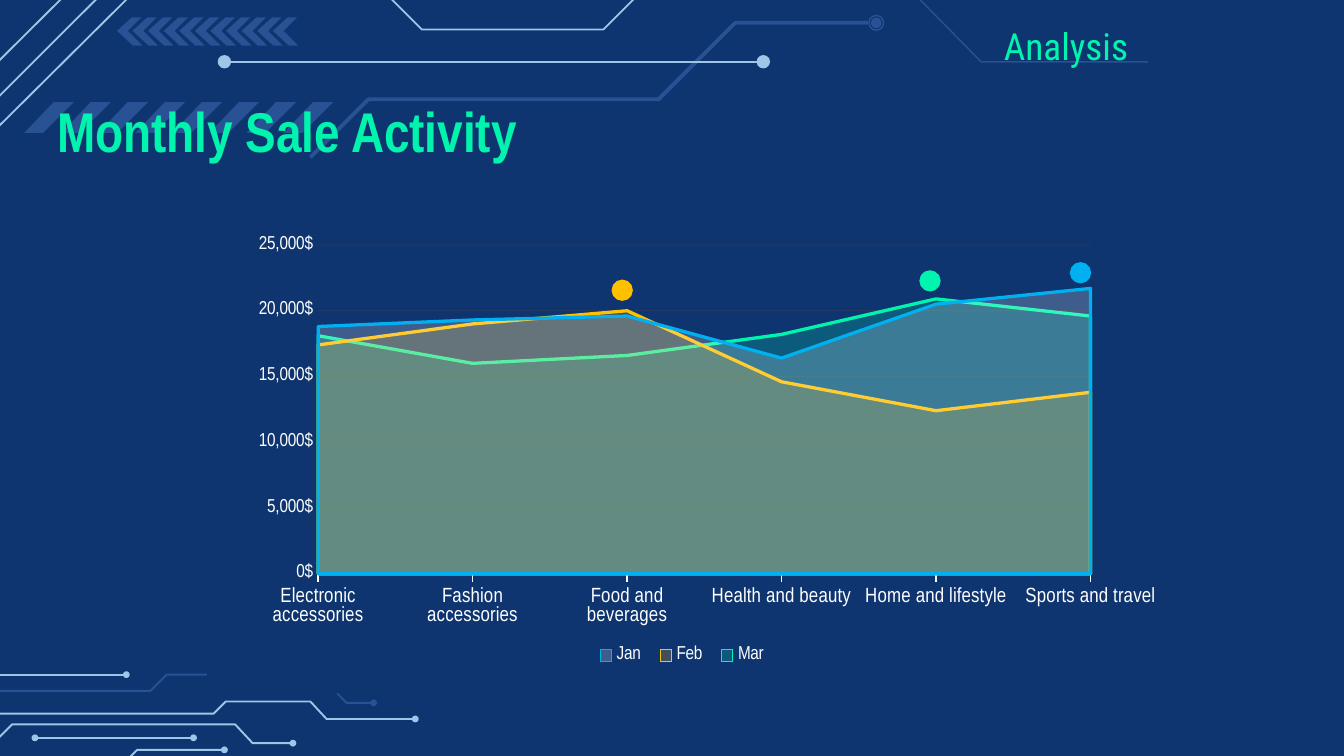
from pptx import Presentation
from pptx import util as u
from pptx.chart.data import CategoryChartData
from pptx.dml.color import RGBColor
from pptx.enum import chart as charts, shapes, text
from pptx.oxml import parse_xml
from pptx.oxml.ns import nsdecls, qn
from pptx.oxml.xmlchemy import OxmlElement

NAVY = RGBColor(0x0F, 0x35, 0x70)
STEEL = RGBColor(0x28, 0x52, 0x93)
SKY = RGBColor(0x9F, 0xC5, 0xE8)
GREEN = RGBColor(0x00, 0xF4, 0xAD)
BLUE = RGBColor(0x00, 0xB0, 0xF0)
AMBER = RGBColor(0xFF, 0xC0, 0x00)
WHITE = RGBColor(0xFF, 0xFF, 0xFF)
GRID = RGBColor(0x3A, 0x3D, 0x4E)
BODY_FONT = "Arial Narrow"

CATEGORIES = ["Electronic accessories", "Fashion accessories", "Food and beverages",
              "Health and beauty", "Home and lifestyle", "Sports and travel"]
SALES = [
    ("Jan", (18800, 19300, 19600, 16400, 20500, 21700), WHITE, BLUE),
    ("Feb", (17400, 19000, 20000, 14600, 12400, 13800), AMBER, AMBER),
    ("Mar", (18100, 16000, 16600, 18200, 20900, 19600), GREEN, GREEN),
]


def add_text(slide, content, box, *, size, font=BODY_FONT, color=GREEN, bold=False,
             align=None, anchor=text.MSO_ANCHOR.TOP, insets=None, grow=False):
    """Add a one-paragraph text box."""
    frame = slide.shapes.add_textbox(*map(u.Inches, box)).text_frame
    frame.word_wrap = True
    frame.vertical_anchor = anchor
    if grow:
        frame.auto_size = text.MSO_AUTO_SIZE.SHAPE_TO_FIT_TEXT
    if insets is not None:
        frame.margin_left = frame.margin_right = u.Inches(insets)
        frame.margin_top = frame.margin_bottom = u.Inches(insets)
    paragraph = frame.paragraphs[0]
    paragraph.alignment = align
    run = paragraph.add_run()
    run.text = content
    set_font(run.font, size, color, font)
    run.font.bold = bold


def set_font(font, size, color, name=BODY_FONT):
    """Set the size, colour and name of a font."""
    font.size = u.Pt(size)
    font.name = name
    font.color.rgb = color


def set_opacity(fill_parent, percent):
    """Make the first solid colour under an element partly transparent."""
    alpha = OxmlElement("a:alpha")
    alpha.set("val", str(percent * 1000))
    fill_parent.find(".//" + qn("a:srgbClr")).append(alpha)


def add_outline(slide, points, left, top, closed):
    """Add a freeform through points given relative to left and top."""
    corners = [(u.Inches(left + x), u.Inches(top + y)) for x, y in points]
    builder = slide.shapes.build_freeform(*corners[0], scale=1.0)
    builder.add_line_segments(corners[1:], close=closed)
    shape = builder.convert_to_shape()
    shape.shadow.inherit = False
    return shape


def add_polygon(slide, points, left, top, color):
    """Add a filled polygon without a line."""
    shape = add_outline(slide, points, left, top, True)
    shape.fill.solid()
    shape.fill.fore_color.rgb = color
    shape.line.fill.background()


def add_trace(slide, points, left, top, color, width):
    """Add a circuit line, as a connector when it has only two points."""
    if len(points) == 2:
        ends = [u.Inches(value) for x, y in points for value in (left + x, top + y)]
        shape = slide.shapes.add_connector(shapes.MSO_CONNECTOR.STRAIGHT, *ends)
        shape._element.spPr.append(OxmlElement("a:effectLst"))
    else:
        shape = add_outline(slide, points, left, top, False)
        shape.fill.background()
    shape.line.color.rgb = color
    shape.line.width = u.Pt(width)


def add_dot(slide, x, y, diameter, color, line_width=0, filled=True):
    """Add a circle centred on a point."""
    shape = slide.shapes.add_shape(
        shapes.MSO_SHAPE.OVAL, u.Inches(x - diameter / 2), u.Inches(y - diameter / 2),
        u.Inches(diameter), u.Inches(diameter))
    shape.shadow.inherit = False
    if filled:
        shape.fill.solid()
        shape.fill.fore_color.rgb = color
    else:
        shape.fill.background()
    if line_width:
        shape.line.color.rgb = color
        shape.line.width = u.Pt(line_width)
    else:
        shape.line.fill.background()


def add_top_circuit(slide, left, top):
    """Draw the traces, slanted bars and chevrons along the upper edge."""
    traces = [
        ([(-0.19, 1.12), (1.27, -0.33), (2.59, -0.33), (3.14, 0.22), (4.49, 0.22),
          (5.29, -0.58), (6.04, -0.58)], SKY, 1),
        ([(2.31, 1.17), (2.74, 0.74), (4.9, 0.74), (5.47, 0.17), (6.46, 0.17)], STEEL, 2),
        ([(5.85, -0.06), (6.79, -0.06), (7.3, 0.46), (8.54, 0.46)], STEEL, 0.75),
        ([(1.67, 0.46), (5.64, 0.46)], SKY, 1),
        ([(-0.43, 1.14), (1.05, -0.34)], SKY, 1),
        ([(-0.62, 1.06), (0.87, -0.42)], SKY, 1),
    ]
    for points, color, width in traces:
        add_trace(slide, points, left, top, color, width)
    add_dot(slide, left + 6.52, top + 0.17, 0.11, STEEL, 0.75, filled=False)
    add_dot(slide, left + 6.52, top + 0.17, 0.08, STEEL)
    for x in (1.67, 5.68):
        add_dot(slide, left + x, top + 0.46, 0.1, SKY)

    bar = [(0.14, 0.23), (0.37, 0), (0.22, 0), (0, 0.23)]
    for index in range(8):
        add_polygon(slide, bar, left + 0.18 + index * 1.93 / 7, top + 0.76, STEEL)
    chevron = [(0.19, 0.21), (0.08, 0.1), (0.18, 0), (0.11, 0), (0, 0.1), (0.12, 0.21)]
    for index in range(11):
        add_polygon(slide, chevron, left + 0.87 + index * 1.16 / 10, top + 0.13, STEEL)


def add_bottom_circuit(slide, left, top):
    """Draw the traces ending in dots in the lower left corner."""
    traces = [
        ([(-0.69, 0.31), (1.59, 0.31), (1.68, 0.22), (2.31, 0.22), (2.43, 0.35),
          (3.09, 0.35)], SKY, "end"),
        ([(-0.05, 0.14), (1.12, 0.14), (1.24, 0.02), (1.54, 0.02)], STEEL, ""),
        ([(2.51, 0.16), (2.58, 0.23), (2.78, 0.23)], STEEL, "end"),
        ([(-0.12, 0.02), (0.94, 0.02)], SKY, "end"),
        ([(-0.1, 0.58), (0.09, 0.39), (1.75, 0.39), (1.88, 0.53), (2.18, 0.53)], SKY, "end"),
        ([(0.26, 0.49), (1.44, 0.49)], SKY, "both"),
        ([(-0.1, 1.07), (0.27, 0.7), (0.9, 0.7), (1.02, 0.58), (1.67, 0.58)], SKY, "end"),
    ]
    for points, color, dots in traces:
        add_trace(slide, points, left, top, color, 1.03)
        ends = {"": [], "end": points[-1:], "both": points}[dots]
        for x, y in ends:
            add_dot(slide, left + x, top + y, 0.04, color, 0.75)


def add_sales_chart(slide, left, top, width, height):
    """Add the area chart of monthly sales and its peak markers."""
    data = CategoryChartData()
    data.categories = CATEGORIES
    for name, values, _, _ in SALES:
        data.add_series(name, values)
    chart = slide.shapes.add_chart(
        charts.XL_CHART_TYPE.AREA, *map(u.Inches, (left, top, width, height)), data).chart
    set_font(chart.font, 10, WHITE)
    chart.has_title = False
    chart.has_legend = True
    chart.legend.position = charts.XL_LEGEND_POSITION.BOTTOM
    chart.legend.include_in_layout = False
    set_font(chart.legend.font, 10, WHITE)

    chart.plots[0].vary_by_categories = False
    for series, (_, _, fill, line) in zip(chart.plots[0].series, SALES):
        series.format.fill.solid()
        series.format.fill.fore_color.rgb = fill
        set_opacity(series._element.spPr, 20)
        series.format.line.color.rgb = line
        series.format.line.width = u.Pt(1.75)

    category_axis, value_axis = chart.category_axis, chart.value_axis
    category_axis.has_major_gridlines = False
    category_axis.major_tick_mark = charts.XL_TICK_MARK.OUTSIDE
    category_axis.format.line.color.rgb = WHITE
    category_axis.format.line.width = u.Pt(0.75)
    set_font(category_axis.tick_labels.font, 11, WHITE)
    value_axis.minimum_scale, value_axis.maximum_scale = 0, 25000
    value_axis.major_unit = 5000
    value_axis.major_tick_mark = charts.XL_TICK_MARK.NONE
    value_axis.format.line.fill.background()
    value_axis.tick_labels.number_format = '#,##0"$";\\-#,##0"$"'
    value_axis.tick_labels.number_format_is_linked = False
    set_font(value_axis.tick_labels.font, 10, WHITE)
    grid_line = value_axis.major_gridlines.format.line
    grid_line.color.rgb = GRID
    grid_line.width = u.Pt(0.75)
    set_opacity(value_axis._element.find(qn("c:majorGridlines")), 44)
    value_axis._element.find(qn("c:crossBetween")).set("val", "midCat")
    plot_area, legend = chart._chartSpace.chart.plotArea, chart.legend._element
    set_layout(plot_area, 0, "inner", x=0.117, y=0.115, w=0.813, h=0.649)
    set_layout(legend, 1, "", x=0.4, y=0.89, w=0.2, h=0.07)

    for x, y, color in ((3.09, 0.77, AMBER), (5.38, 0.7, GREEN), (6.5, 0.64, BLUE)):
        add_dot(slide, left + x, top + y, 0.13, color, 2)


def set_layout(element, index, target, **fractions):
    """Fix the box of a chart part as fractions of the chart."""
    inner = f'<c:layoutTarget val="{target}"/>' if target else ""
    modes = "".join(f'<c:{key}Mode val="edge"/>' for key in "xy")
    sizes = "".join(f'<c:{key} val="{value}"/>' for key, value in fractions.items())
    for old_layout in element.findall(qn("c:layout")):
        element.remove(old_layout)
    element.insert(index, parse_xml(
        f'<c:layout {nsdecls("c")}><c:manualLayout>{inner}{modes}{sizes}'
        '</c:manualLayout></c:layout>'))


def main():
    """Build and save the slide."""
    presentation = Presentation()
    presentation.slide_width = u.Inches(10)
    presentation.slide_height = u.Inches(10 * 9 / 16)
    slide = presentation.slides.add_slide(presentation.slide_layouts[6])
    slide.background.fill.solid()
    slide.background.fill.fore_color.rgb = NAVY
    add_top_circuit(slide, 0, 0)
    add_bottom_circuit(slide, 0, 5)
    add_text(slide, "Monthly Sale Activity", (0.39, 0.69, 3.46, 0.56), size=30, bold=True,
             align=text.PP_ALIGN.RIGHT, anchor=text.MSO_ANCHOR.MIDDLE, insets=0)
    add_sales_chart(slide, 1.54, 1.39, 7.07, 3.77)
    add_text(slide, "Analysis", (7.37, 0.12, 1.41, 0.44), size=20, font="Roboto Condensed",
             grow=True)
    presentation.save("out.pptx")


if __name__ == "__main__":
    main()
